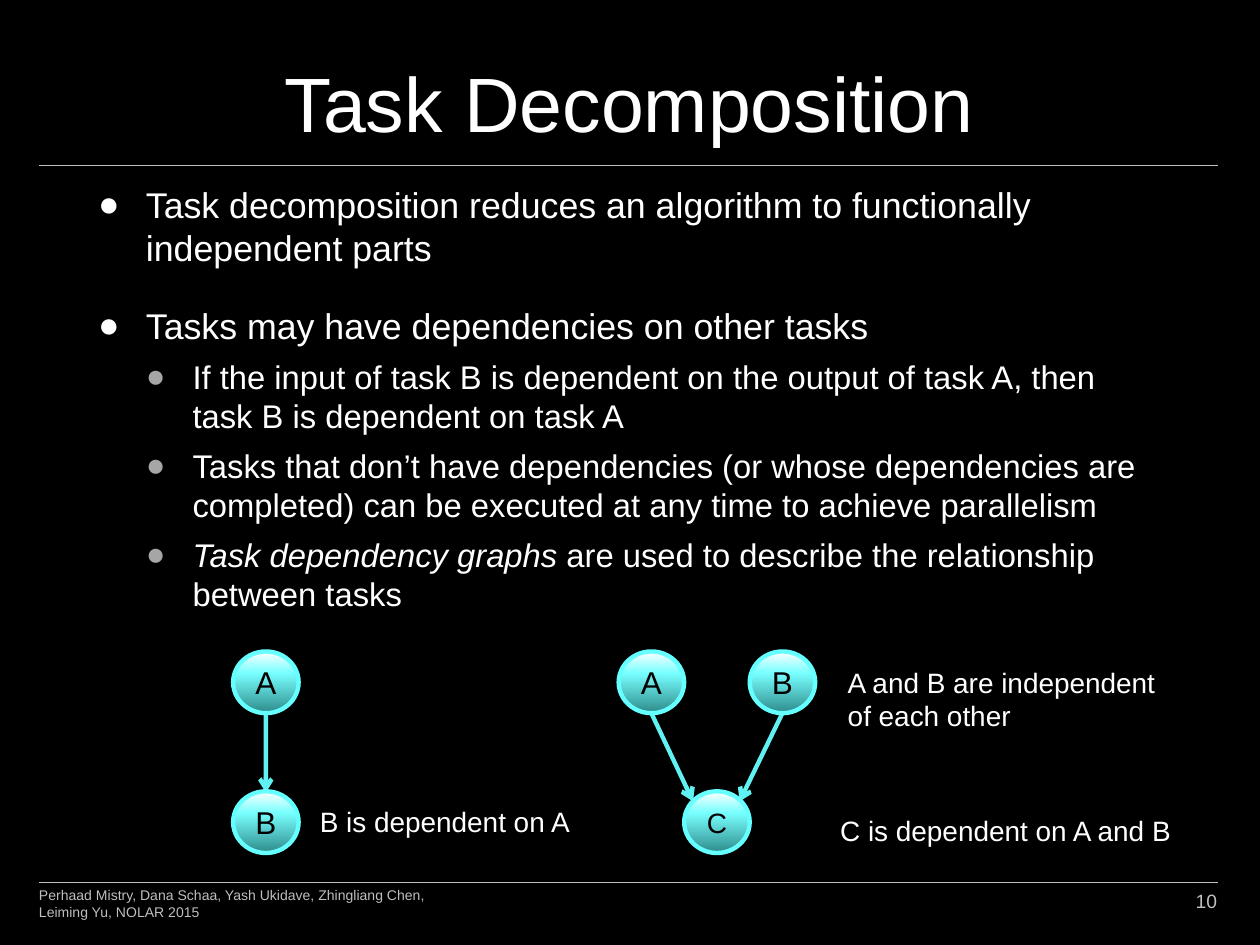
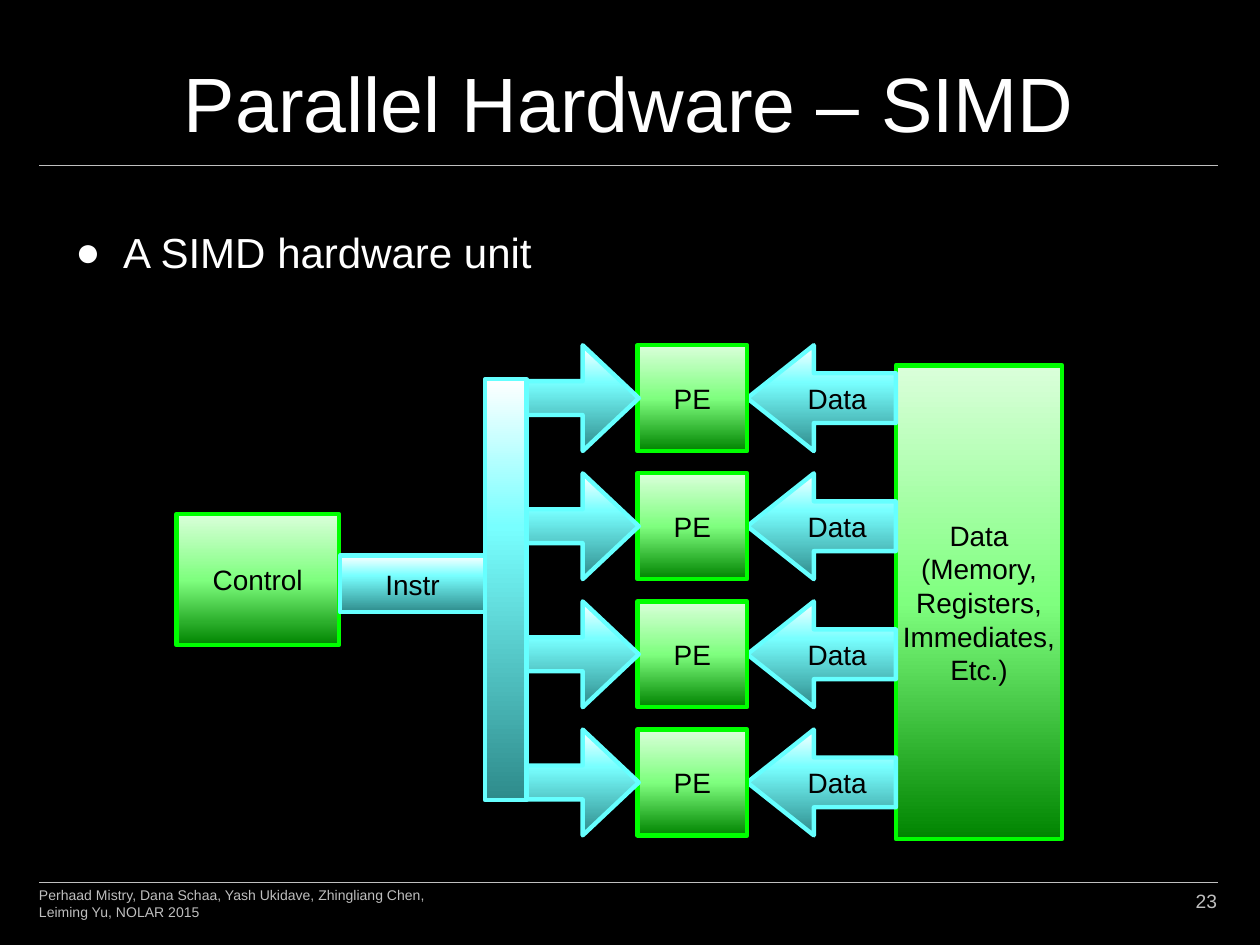
"""Build two lecture slides about task decomposition and SIMD hardware."""
from dataclasses import dataclass
from typing import NamedTuple

from lxml.etree import SubElement
from pptx import Presentation
from pptx.dml.color import RGBColor
from pptx.enum.shapes import MSO_CONNECTOR, MSO_SHAPE
from pptx.enum.text import MSO_ANCHOR, MSO_AUTO_SIZE, PP_ALIGN
from pptx.oxml.ns import qn
from pptx.util import Inches, Pt

FONT = "Arial"
BLACK, WHITE, GREY, BULLET_GREY = "000000", "FFFFFF", "BFBFBF", "A6A6A6"
FOOTER = "Perhaad Mistry, Dana Schaa, Yash Ukidave, Zhingliang Chen, Leiming Yu, NOLAR 2015"
RULE_LEFT, RULE_RIGHT = 0.31, 9.67


class Box(NamedTuple):
    """Position and size in inches."""
    left: float
    top: float
    width: float
    height: float

    def lengths(self) -> list:
        """Return the four values as lengths."""
        return [Inches(value) for value in self]


class Bullet(NamedTuple):
    """One bulleted paragraph, with an optional italic opening."""
    text: str
    size: float
    level: int = 0
    italic_lead: str = ""


@dataclass(frozen=True)
class Look:
    """Outline colour and gradient stops from bottom to top."""
    outline: str
    stops: tuple


CYAN = Look("66FFFF", ((0, "2E8B8B"), (65, "78FFFF"), (100, "FFFFFF")))
GREEN = Look("00FF00", ((0, "008400"), (50, "7FFF7F"), (100, "DAFFDA")))


def color(value: str) -> RGBColor:
    """Turn a hex string into a colour."""
    return RGBColor.from_string(value)


def style_runs(para, size: float, tint: str) -> None:
    """Apply font, size and colour to every run of a paragraph."""
    for span in para.runs:
        span.font.name = FONT
        span.font.size = Pt(size)
        span.font.color.rgb = color(tint)


def set_insets(frame, horizontal: float, vertical: float) -> None:
    """Set the inner margins of a text frame."""
    frame.margin_left = frame.margin_right = Inches(horizontal)
    frame.margin_top = frame.margin_bottom = Inches(vertical)


def fill_text(frame, text: str, size: float, tint: str, align, anchor) -> None:
    """Write text into a frame and format all its paragraphs."""
    frame.text = text
    frame.vertical_anchor = anchor
    for para in frame.paragraphs:
        para.alignment = align
        style_runs(para, size, tint)


def add_text(page, box: Box, text: str, size: float, tint: str = WHITE,
             align=PP_ALIGN.LEFT, anchor=MSO_ANCHOR.TOP, inset: float = 0.1):
    """Add a wrapping text box and return its frame."""
    frame = page.shapes.add_textbox(*box.lengths()).text_frame
    frame.word_wrap = True
    set_insets(frame, inset, 0.05)
    fill_text(frame, text, size, tint, align, anchor)
    return frame


def add_caption(page, box: Box, text: str) -> None:
    """Add a caption that fits its text without wrapping."""
    frame = add_text(page, box, text, 16)
    frame.word_wrap = False
    frame.auto_size = MSO_AUTO_SIZE.SHAPE_TO_FIT_TEXT


def add_line(page, start: tuple, end: tuple, tint: str, width: float):
    """Add a straight line without shadow and return it."""
    line = page.shapes.add_connector(
        MSO_CONNECTOR.STRAIGHT, *[Inches(value) for value in start + end])
    line.line.color.rgb = color(tint)
    line.line.width = Pt(width)
    SubElement(line.element.spPr, qn("a:effectLst"))
    return line


def add_arrow(page, start: tuple, end: tuple) -> None:
    """Add a slightly transparent dependency arrow."""
    line = add_line(page, start, end, CYAN.outline, 2.5)
    outline = line.element.spPr.find(qn("a:ln"))
    SubElement(outline.find(".//" + qn("a:srgbClr")), qn("a:alpha"), val="95000")
    SubElement(outline, qn("a:tailEnd"), type="arrow")


def add_block(page, kind, box: Box, look: Look, text: str = "",
              size: float = 16, adjustments: tuple = ()) -> None:
    """Add a gradient shape with a centred label."""
    shape = page.shapes.add_shape(kind, *box.lengths())
    shape.shadow.inherit = False
    for index, value in enumerate(adjustments):
        shape.adjustments[index] = value
    shape.fill.gradient()
    shape.fill.gradient_angle = 90
    stops = shape.element.spPr.find(".//" + qn("a:gsLst"))
    for stop in list(stops):
        stops.remove(stop)
    for position, tint in look.stops:
        stop = SubElement(stops, qn("a:gs"), pos=str(position * 1000))
        SubElement(stop, qn("a:srgbClr"), val=tint)
    shape.line.color.rgb = color(look.outline)
    shape.line.width = Pt(2.5)
    if text:
        set_insets(shape.text_frame, 0, 0)
        fill_text(shape.text_frame, text, size, BLACK, PP_ALIGN.CENTER, MSO_ANCHOR.MIDDLE)


def add_bullets(page, box: Box, bullets: list) -> None:
    """Add a text box with bulleted paragraphs on two levels."""
    frame = add_text(page, box, "\n".join(item.text for item in bullets), 20)
    for para, item in zip(frame.paragraphs, bullets):
        if item.italic_lead:
            para.text = item.italic_lead
            para.runs[0].font.italic = True
            para.add_run().text = item.text
        style_runs(para, item.size, WHITE)
        para.level = item.level
        para.space_before = Pt(6 if item.level else 20)
        properties = para._p.get_or_add_pPr()
        properties.set("marL", str(Inches(0.75 if item.level else 0.38)))
        properties.set("indent", str(-Inches(0.37 if item.level else 0.38)))
        tint = SubElement(properties, qn("a:buClr"))
        SubElement(tint, qn("a:srgbClr"), val=BULLET_GREY if item.level else WHITE)
        SubElement(properties, qn("a:buFont"), typeface=FONT)
        SubElement(properties, qn("a:buChar"), char="●")


def add_page(deck, title: str, number: int):
    """Add a black slide with title, rules, footer and number."""
    page = deck.slides.add_slide(deck.slide_layouts[6])
    page.background.fill.solid()
    page.background.fill.fore_color.rgb = color(BLACK)
    for height in (1.31, 7):
        add_line(page, (RULE_LEFT, height), (RULE_RIGHT, height), GREY, 0.25)
    add_text(page, Box(0.7, 0.12, 8.59, 1.1), title, 44,
             align=PP_ALIGN.CENTER, anchor=MSO_ANCHOR.BOTTOM)
    add_text(page, Box(RULE_LEFT, 6.95, 3.17, 0.4), FOOTER, 8, GREY,
             anchor=MSO_ANCHOR.BOTTOM, inset=0)
    add_text(page, Box(8.83, 6.95, 0.83, 0.4), str(number), 11, GREY,
             PP_ALIGN.RIGHT, MSO_ANCHOR.MIDDLE, 0)
    return page


def build_decomposition(deck) -> None:
    """Build the slide with the two task dependency graphs."""
    page = add_page(deck, "Task Decomposition", 10)
    add_bullets(page, Box(0.68, 1.4, 8.62, 3.3), [
        Bullet("Task decomposition reduces an algorithm to functionally independent parts", 20.4),
        Bullet("Tasks may have dependencies on other tasks", 20.4),
        Bullet("If the input of task B is dependent on the output of task A, "
               "then task B is dependent on task A", 18.7, 1),
        Bullet("Tasks that don’t have dependencies (or whose dependencies are completed) "
               "can be executed at any time to achieve parallelism", 18.7, 1),
        Bullet(" are used to describe the relationship between tasks", 18.7, 1,
               "Task dependency graphs"),
    ])
    upper, lower = 5.17, 6.28
    for name, left, top, size in (("A", 1.85, upper, 18), ("B", 1.85, lower, 18),
                                  ("A", 4.91, upper, 18), ("B", 5.95, upper, 18),
                                  ("C", 5.43, lower, 16)):
        add_block(page, MSO_SHAPE.OVAL, Box(left, top, 0.52, 0.49), CYAN, name, size)
    for start, end in (((2.11, 5.66), (2.11, 6.29)), ((5.17, 5.66), (5.5, 6.36)),
                       ((6.21, 5.66), (5.87, 6.36))):
        add_arrow(page, start, end)
    add_caption(page, Box(2.44, 6.34, 2.21, 0.37), "B is dependent on A")
    add_caption(page, Box(6.63, 5.23, 2.67, 0.64), "A and B are independent\nof each other")
    add_caption(page, Box(6.57, 6.41, 2.86, 0.37), "C is dependent on A and B")


def build_simd(deck) -> None:
    """Build the slide with the SIMD hardware diagram."""
    page = add_page(deck, "Parallel Hardware – SIMD", 23)
    add_bullets(page, Box(0.5, 1.75, 9, 0.71), [Bullet("A SIMD hardware unit", 24)])
    rectangle = MSO_SHAPE.RECTANGLE
    add_block(page, rectangle, Box(1.4, 4.08, 1.29, 1.04), GREEN, "Control")
    add_block(page, rectangle, Box(7.11, 2.9, 1.32, 3.76), GREEN,
              "Data\n(Memory, Registers,\nImmediates,\nEtc.)")
    add_block(page, rectangle, Box(2.7, 4.41, 1.15, 0.45), CYAN, "Instr")
    add_block(page, rectangle, Box(3.85, 3.01, 0.33, 3.34), CYAN)
    first_row, last_row, lanes = 2.74, 5.79, 4
    for lane in range(lanes):
        top = first_row + lane * (last_row - first_row) / (lanes - 1)
        add_block(page, MSO_SHAPE.LEFT_ARROW, Box(5.93, top, 1.18, 0.84), CYAN,
                  "Data", adjustments=(0.47, 0.63))
        add_block(page, rectangle, Box(5.06, top, 0.87, 0.84), GREEN, "PE")
        add_block(page, MSO_SHAPE.RIGHT_ARROW, Box(4.18, top, 0.89, 0.84), CYAN,
                  adjustments=(0.32, 0.53))


def main() -> None:
    """Create the deck and save it."""
    deck = Presentation()
    deck.slide_width, deck.slide_height = Inches(10), Inches(7.5)
    build_decomposition(deck)
    build_simd(deck)
    deck.save("out.pptx")


main()
